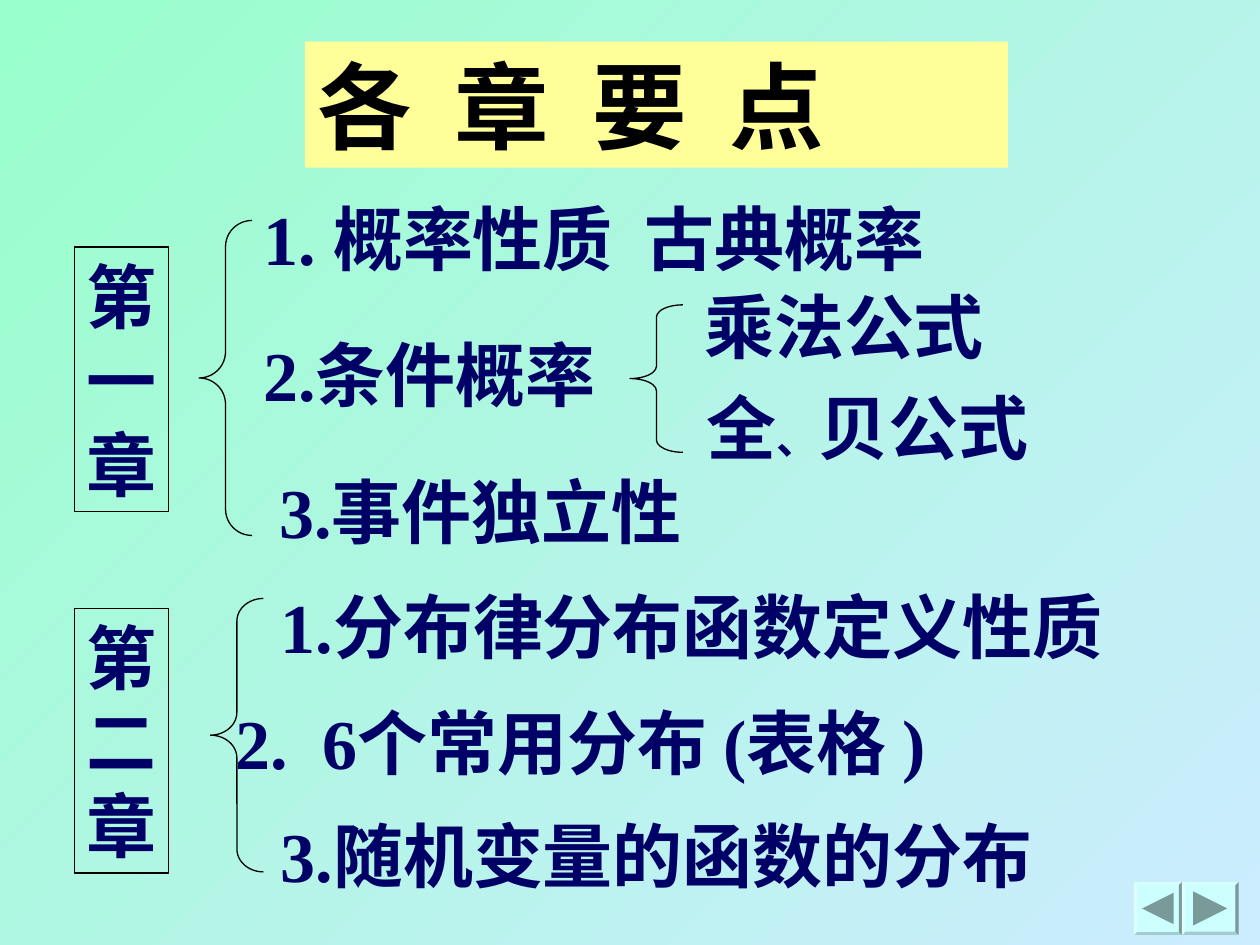
from typing import NamedTuple

from lxml.etree import SubElement
from pptx import Presentation
from pptx.dml.color import RGBColor
from pptx.enum.shapes import MSO_SHAPE
from pptx.enum.text import MSO_ANCHOR, MSO_AUTO_SIZE, PP_ALIGN
from pptx.oxml.ns import qn
from pptx.util import Inches, Pt

HUES = {
    "mint": "99FFCC", "sky": "CCECFF", "cream": "FFFF99", "ink": "000066",
    "black": "000000", "key": "CCFFFF", "arrow": "7A9999",
}
SERIF = "Times New Roman"
SANS = "Noto Sans CJK JP"


class Item(NamedTuple):
    left: float
    top: float
    width: float
    runs: tuple  # of (text, size)


class Brace(NamedTuple):
    left: float
    top: float
    height: float


class Label(NamedTuple):
    top: float
    text: str


class Key(NamedTuple):
    left: float
    width: float
    head: float
    turn: int


ITEMS = [
    Item(1.99, 1.5, 5.88, (("1. 概率性质  古典概率", 40),)),
    Item(1.99, 2.58, 3.52, (("2.条件概率", 40),)),
    Item(5.49, 2.2, 2.42, (("乘法公式", 40),)),
    Item(5.51, 3, 2.75, (("全", 40), ("、", 24), ("贝公式", 40))),
    Item(2.12, 3.67, 3.52, (("3.事件独立性", 40),)),
    Item(2.13, 4.58, 6.85, (("1.分布律分布函数定义性质", 40),)),
    Item(1.77, 5.5, 6.51, (("2.  6个常用分布 (表格 )", 40),)),
    Item(2.13, 6.4, 6.3, (("3.随机变量的函数的分布", 40),)),
]
BRACES = [Brace(1.58, 1.75, 2.5), Brace(5, 2.42, 1.17), Brace(1.67, 4.75, 2.17)]
LABELS = [Label(1.96, "第一章"), Label(4.83, "第二章")]
KEYS = [Key(9, 0.38, 0.25, 270), Key(9.38, 0.45, 0.27, 90)]


def hue(name: str) -> RGBColor:
    return RGBColor.from_string(HUES[name])


def add_run(para, text: str, size: int, face: str = SERIF, tone: str = "ink") -> None:
    run = para.add_run()
    run.text = text
    font = run.font
    font.size, font.bold, font.name = Pt(size), True, face
    font.color.rgb = hue(tone)
    SubElement(font._element, qn("a:ea")).set("typeface", SANS)


def add_shape(shapes, kind, left: float, top: float, width: float, height: float):
    shape = shapes.add_shape(
        kind, Inches(left), Inches(top), Inches(width), Inches(height))
    shape.shadow.inherit = False
    return shape


def outline(shape) -> None:
    shape.fill.background()
    shape.line.color.rgb = hue("black")
    shape.line.width = Pt(0.75)


def paint(shape, tone: str) -> None:
    shape.fill.solid()
    shape.fill.fore_color.rgb = hue(tone)
    shape.line.fill.background()


def add_title(slide) -> None:
    title = slide.shapes.title
    title.left, title.top = Inches(2.42), Inches(0.33)
    title.width, title.height = Inches(5.58), Inches(1)
    paint(title, "cream")
    frame = title.text_frame
    frame.auto_size = MSO_AUTO_SIZE.NONE
    frame.vertical_anchor = MSO_ANCHOR.TOP
    para = frame.paragraphs[0]
    para.alignment = PP_ALIGN.LEFT
    add_run(para, "各  章  要  点", 54, SANS, "black")


def add_label(shapes, label: Label) -> None:
    box = add_shape(shapes, MSO_SHAPE.RECTANGLE, 0.59, label.top, 0.75, 2.1)
    outline(box)
    frame = box.text_frame
    frame.word_wrap = False
    frame.auto_size = MSO_AUTO_SIZE.SHAPE_TO_FIT_TEXT
    frame.vertical_anchor = MSO_ANCHOR.TOP
    for spot, char in enumerate(label.text):
        para = frame.add_paragraph() if spot else frame.paragraphs[0]
        para.alignment = PP_ALIGN.LEFT
        add_run(para, char, 40)


def add_brace(shapes, brace: Brace) -> None:
    width = 0.42
    shape = add_shape(
        shapes, MSO_SHAPE.LEFT_BRACE, brace.left, brace.top, width, brace.height)
    shape.adjustments[0] = brace.height / 12 / width
    outline(shape)


def add_item(shapes, item: Item) -> None:
    """Add a one-line text box; no right inset, so the line has room."""
    box = shapes.add_textbox(
        Inches(item.left), Inches(item.top), Inches(item.width), Inches(0.77))
    frame = box.text_frame
    frame.word_wrap = True
    frame.auto_size = MSO_AUTO_SIZE.NONE
    frame.margin_right = 0
    for text, size in item.runs:
        add_run(frame.paragraphs[0], text, size)


def add_key(shapes, key: Key) -> None:
    """Draw a bevelled button with a centred arrowhead."""
    top, height = 7, 0.42
    group = shapes.add_group_shape().shapes
    base = add_shape(group, MSO_SHAPE.BEVEL, key.left, top, key.width, height)
    base.adjustments[0] = 0.06
    paint(base, "key")
    head = add_shape(
        group, MSO_SHAPE.ISOSCELES_TRIANGLE,
        key.left + (key.width - key.head) / 2, top + (height - key.head) / 2,
        key.head, key.head)
    head.rotation = key.turn
    paint(head, "arrow")


def main() -> None:
    deck = Presentation()
    deck.slide_width, deck.slide_height = Inches(10), Inches(7.5)
    slide = deck.slides.add_slide(deck.slide_layouts[5])
    back = slide.background.fill
    back.gradient()
    back.gradient_angle = 315
    for stop, tone in zip(back.gradient_stops, ("mint", "sky")):
        stop.color.rgb = hue(tone)

    add_title(slide)
    for draw, parts in ((add_label, LABELS), (add_brace, BRACES),
                        (add_item, ITEMS), (add_key, KEYS)):
        for part in parts:
            draw(slide.shapes, part)
    deck.save("out.pptx")


if __name__ == "__main__":
    main()
